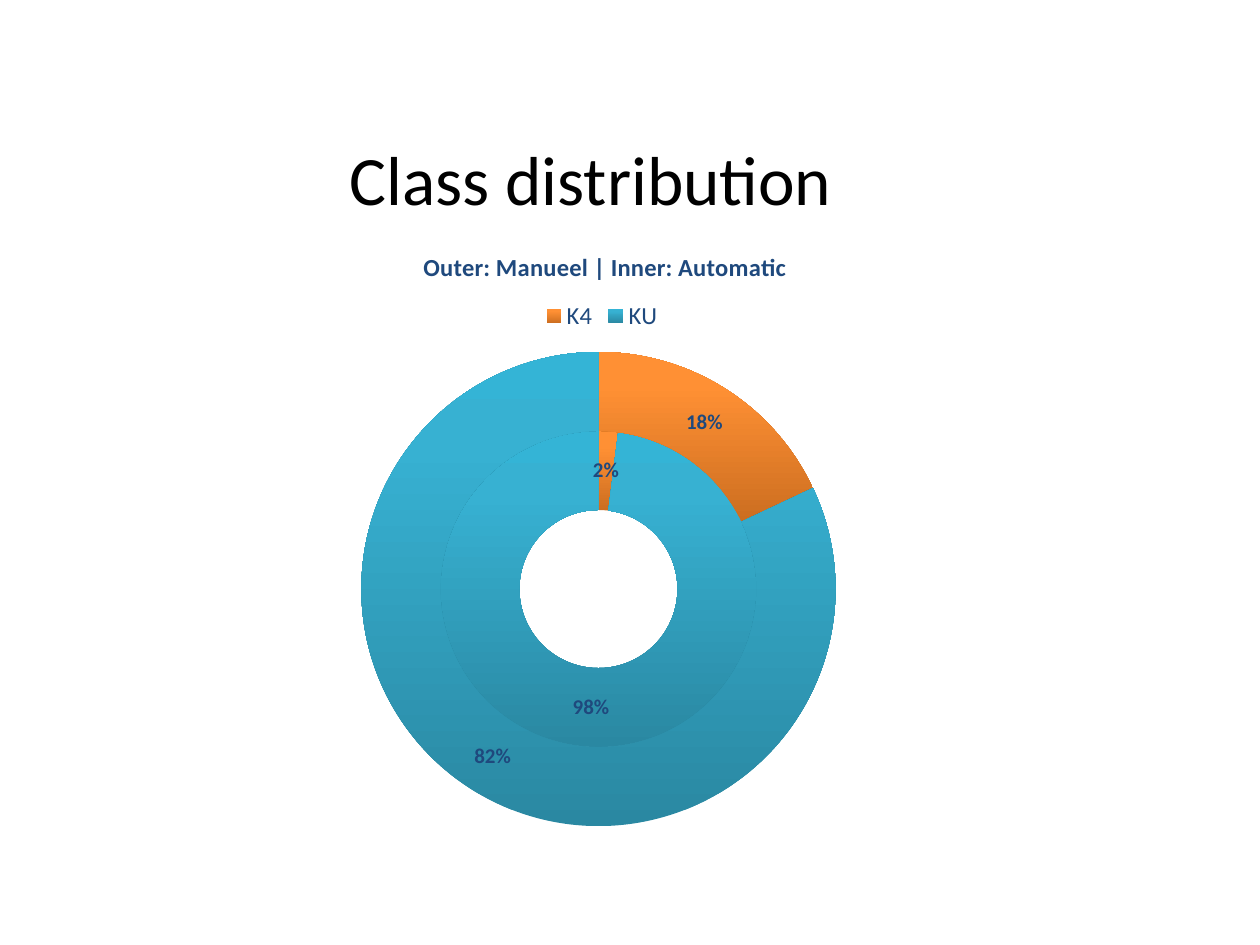
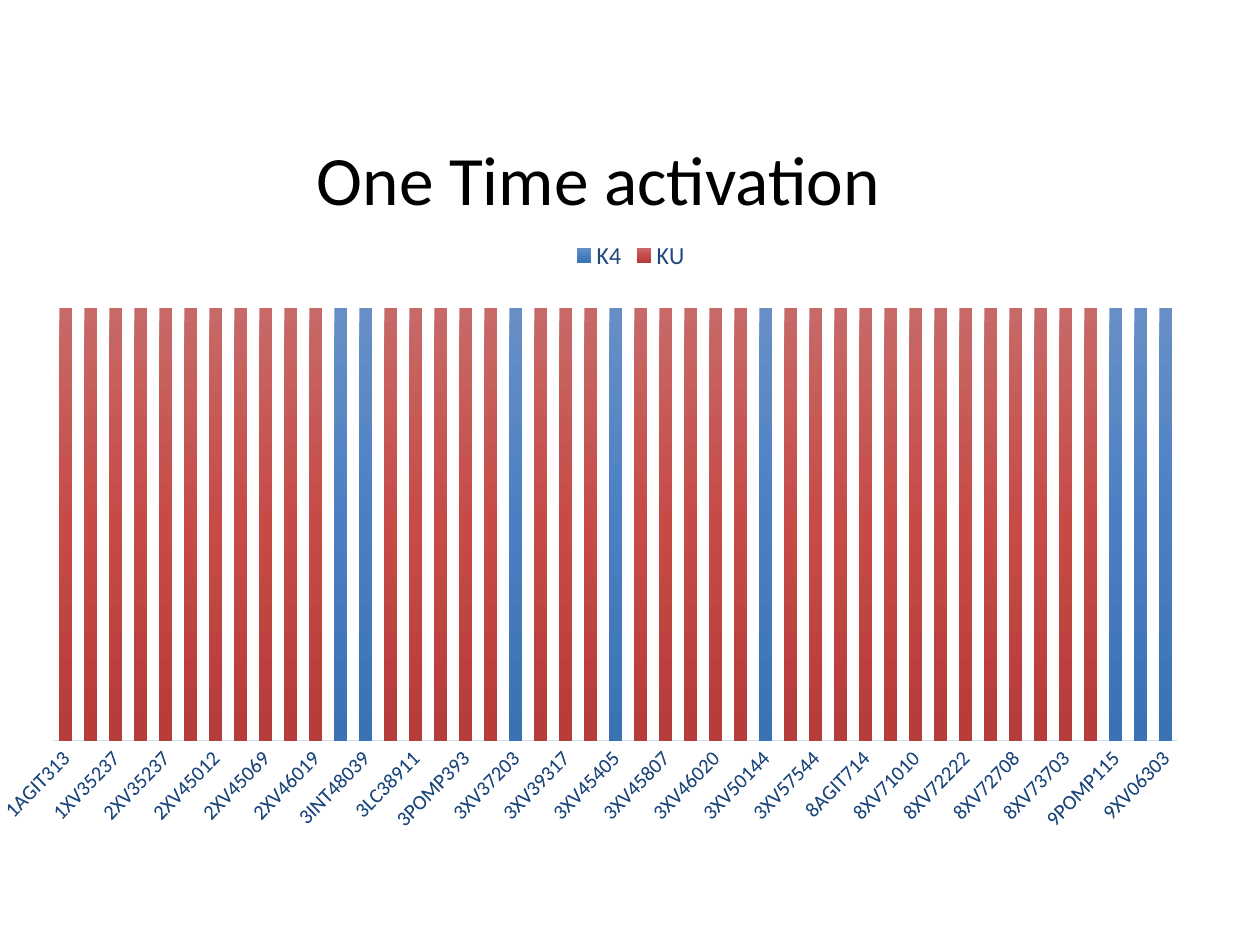
from dataclasses import dataclass

from lxml.etree import SubElement
from pptx import Presentation
from pptx.chart.data import CategoryChartData
from pptx.dml.color import RGBColor
from pptx.enum.chart import XL_CHART_TYPE, XL_LEGEND_POSITION, XL_TICK_MARK
from pptx.enum.text import MSO_ANCHOR, PP_ALIGN
from pptx.oxml import parse_xml
from pptx.oxml.ns import nsdecls, qn
from pptx.util import Pt

EMU_PER_PX = 914400 / 126
FONT = "Calibri"
BLACK, NAVY, PALE_BLUE = "000000", "1F497D", "D4E3F4"
CONTENT_W, TITLE_TOP, TITLE_H = 1197, 135, 86
CHART_TOP = TITLE_TOP + TITLE_H


@dataclass(frozen=True)
class Gradient:
    """Stops as (percent, colour), with the angle counted anticlockwise."""
    stops: tuple
    angle: int


ORANGE = Gradient(((0, "CC6E20"), (80, "FF9034"), (100, "FF9136")), 90)
TEAL = Gradient(((0, "2A88A2"), (80, "37B1D2"), (100, "34B4D6")), 90)
BLUE = Gradient(((0, "688FC5"), (50, "4A80C3"), (100, "3B72B3")), 270)
RED = Gradient(((0, "C76967"), (50, "C64B47"), (100, "B63C39")), 270)

CLASSES = ("K4", "KU")
RINGS = {"Series 1": (2, 98), "Series 2": (18, 82)}
TRAINS = """
1AGIT313 1POMP355 1XV35237 1XV51006 2XV35237 2XV38004 2XV45012 2XV45064 2XV45069
2XV45303 2XV46019 3DRIV480 3INT48039 3LC38901 3LC38911 3PC45004 3POMP393 3XV36308
3XV37203 3XV38704 3XV39317 3XV45064 3XV45405 3XV45631 3XV45807 3XV45808 3XV46020
3XV50103 3XV50144 3XV50150 3XV57544 3XV58405 8AGIT714 8POMP715 8XV71010 8XV71346
8XV72222 8XV72223 8XV72708 8XV73403 8XV73703 8XV74003 9POMP115 9XV06302 9XV06303
""".split()
K4_TRAINS = {"3DRIV480", "3INT48039", "3XV37203", "3XV45405", "3XV50144",
             "9POMP115", "9XV06302", "9XV06303"}


def px(n):
    """Turn pixels into EMU."""
    return round(n * EMU_PER_PX)


def rgb(colour: str) -> RGBColor:
    """Turn a hex string into a colour."""
    return RGBColor.from_string(colour)


def set_font(font, size: float, colour: str = NAVY, bold: bool = False):
    """Format a font in the common typeface."""
    font.name, font.size, font.bold = FONT, Pt(size), bold
    font.color.rgb = rgb(colour)


def fill_gradient(fmt, gradient: Gradient):
    """Fill a chart part with a gradient and drop its outline."""
    fmt.fill.gradient()
    fmt.fill.gradient_angle = gradient.angle
    stops = fmt.fill._xPr.find(qn("a:gradFill")).find(qn("a:gsLst"))
    for old in list(stops):
        stops.remove(old)
    for percent, colour in gradient.stops:
        gs = SubElement(stops, qn("a:gs"), pos=str(percent * 1000))
        SubElement(gs, qn("a:srgbClr"), val=colour)
    fmt.line.fill.background()


def place(element, index: int, **fractions: float):
    """Place a chart part by fractions (x, y, w, h) of the chart."""
    for old in element.findall(qn("c:layout")):
        element.remove(old)
    layout = parse_xml(f'<c:layout {nsdecls("c")}><c:manualLayout/></c:layout>')
    manual = layout[0]
    if "w" in fractions:
        SubElement(manual, qn("c:layoutTarget"), val="inner")
    for key in "xy":
        SubElement(manual, qn(f"c:{key}Mode"), val="edge")
    for key, value in fractions.items():
        SubElement(manual, qn(f"c:{key}"), val=str(value))
    element.insert(index, layout)


def add_titled_slide(prs, title: str):
    """Add a title-only slide with its title formatted."""
    slide = prs.slides.add_slide(prs.slide_layouts[5])
    sp = slide.shapes.title
    sp.left, sp.top, sp.width, sp.height = map(px, (0, TITLE_TOP, CONTENT_W, TITLE_H))
    tf = sp.text_frame
    tf.vertical_anchor = MSO_ANCHOR.MIDDLE
    p = tf.paragraphs[0]
    p.alignment = PP_ALIGN.CENTER
    r = p.add_run()
    r.text = title
    set_font(r.font, 39.6, BLACK)
    return slide


def add_chart(slide, kind, height: int, categories, series: dict):
    """Add a chart under the title with a legend on top."""
    data = CategoryChartData()
    data.categories = categories
    for name, values in series.items():
        data.add_series(name, values)
    chart = slide.shapes.add_chart(
        kind, 0, px(CHART_TOP), px(CONTENT_W), px(height), data).chart
    set_font(chart.font, 12, BLACK)
    chart.has_title = False
    chart.has_legend = True
    chart.legend.position = XL_LEGEND_POSITION.TOP
    chart.legend.include_in_layout = False
    set_font(chart.legend.font, 14)
    return chart


def add_class_distribution(prs):
    """Build the slide with the two-ring doughnut."""
    slide = add_titled_slide(prs, "Class distribution ")
    chart = add_chart(slide, XL_CHART_TYPE.DOUGHNUT, 624, CLASSES, RINGS)
    r = chart.chart_title.text_frame.paragraphs[0].add_run()
    r.text = "Outer: Manueel | Inner: Automatic"
    set_font(r.font, 14, bold=True)
    chart.chart_title.include_in_layout = False
    for ring in chart.plots[0].series:
        for i, gradient in enumerate((ORANGE, TEAL)):
            fill_gradient(ring.points[i].format, gradient)
        labels = ring.data_labels
        labels.show_percentage, labels.show_value = True, False
        labels.number_format, labels.number_format_is_linked = "0%", False
        set_font(labels.font, 12, bold=True)
    place(chart.chart_title._element, 1, x=0.35, y=0.04)
    place(chart.legend._element, 1, x=0.45, y=0.12)
    place(chart._chartSpace.chart.plotArea, 0, x=0.3, y=0.21, w=0.4, h=0.76)


def add_one_time_activation(prs):
    """Build the slide with one column for each train."""
    slide = add_titled_slide(prs, "One Time activation")
    series = {
        "K4": [100 if t in K4_TRAINS else None for t in TRAINS],
        "KU": [None if t in K4_TRAINS else 100 for t in TRAINS],
    }
    chart = add_chart(slide, XL_CHART_TYPE.COLUMN_STACKED, 724, TRAINS, series)
    plot = chart.plots[0]
    plot.gap_width, plot.overlap = 95, 100
    for column, gradient in zip(plot.series, (BLUE, RED)):
        fill_gradient(column.format, gradient)
    values = chart.value_axis
    values.minimum_scale, values.maximum_scale = 0, 120
    values.has_major_gridlines = False
    values.visible = False
    names = chart.category_axis
    names.major_tick_mark = XL_TICK_MARK.NONE
    names.format.line.color.rgb = rgb(PALE_BLUE)
    names.format.line.width = Pt(0.75)
    set_font(names.tick_labels.font, 12)
    names._element.find(qn("c:txPr")).find(qn("a:bodyPr")).set("rot", "-2700000")
    place(chart._chartSpace.chart.plotArea, 0, x=0.016, y=0, w=0.968, h=0.718)
    place(chart.legend._element, 1, x=0.46, y=0.02)


def main():
    """Build and save the presentation."""
    prs = Presentation()
    prs.slide_width, prs.slide_height = px(1260), px(945)
    add_class_distribution(prs)
    add_one_time_activation(prs)
    prs.save("out.pptx")


main()
